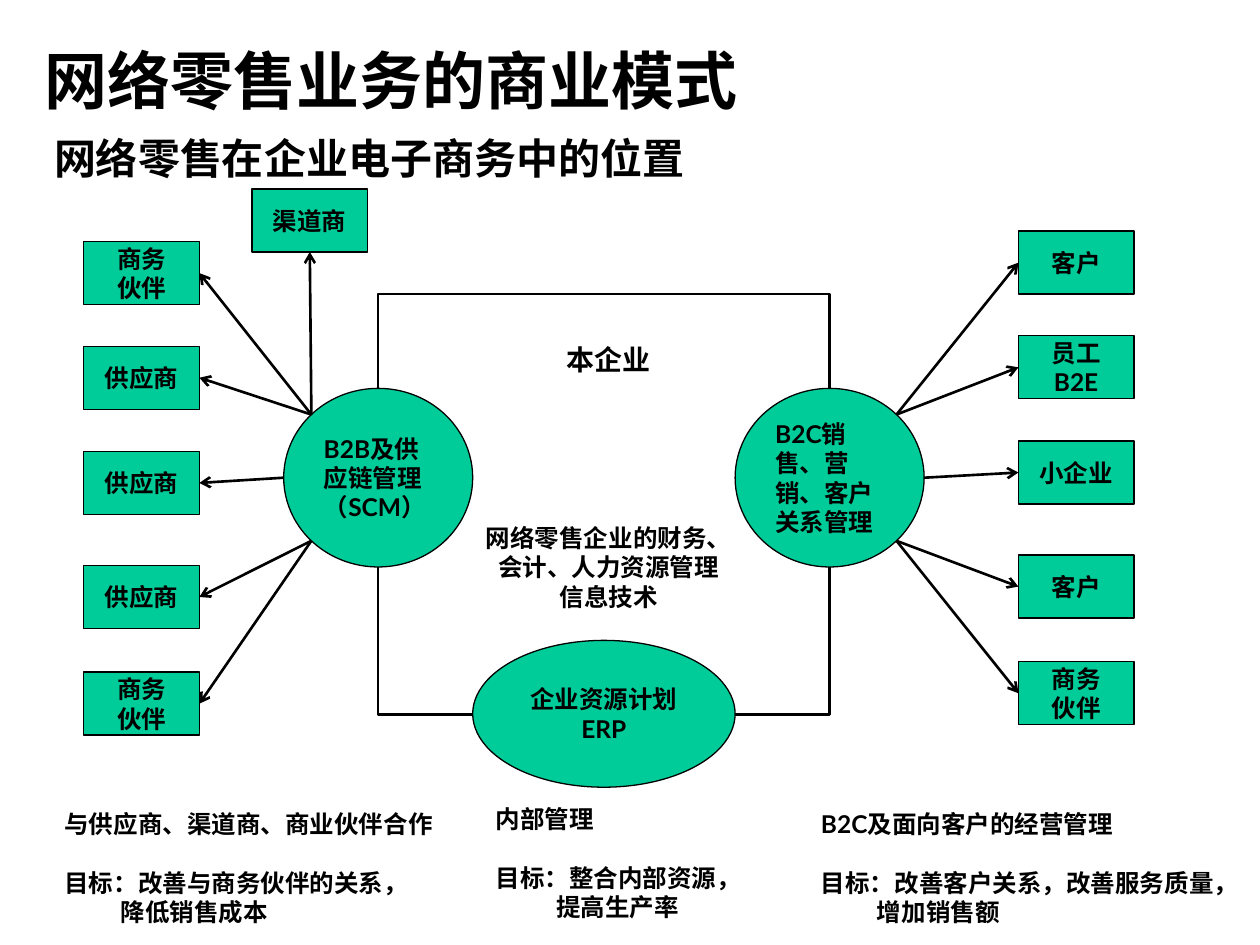
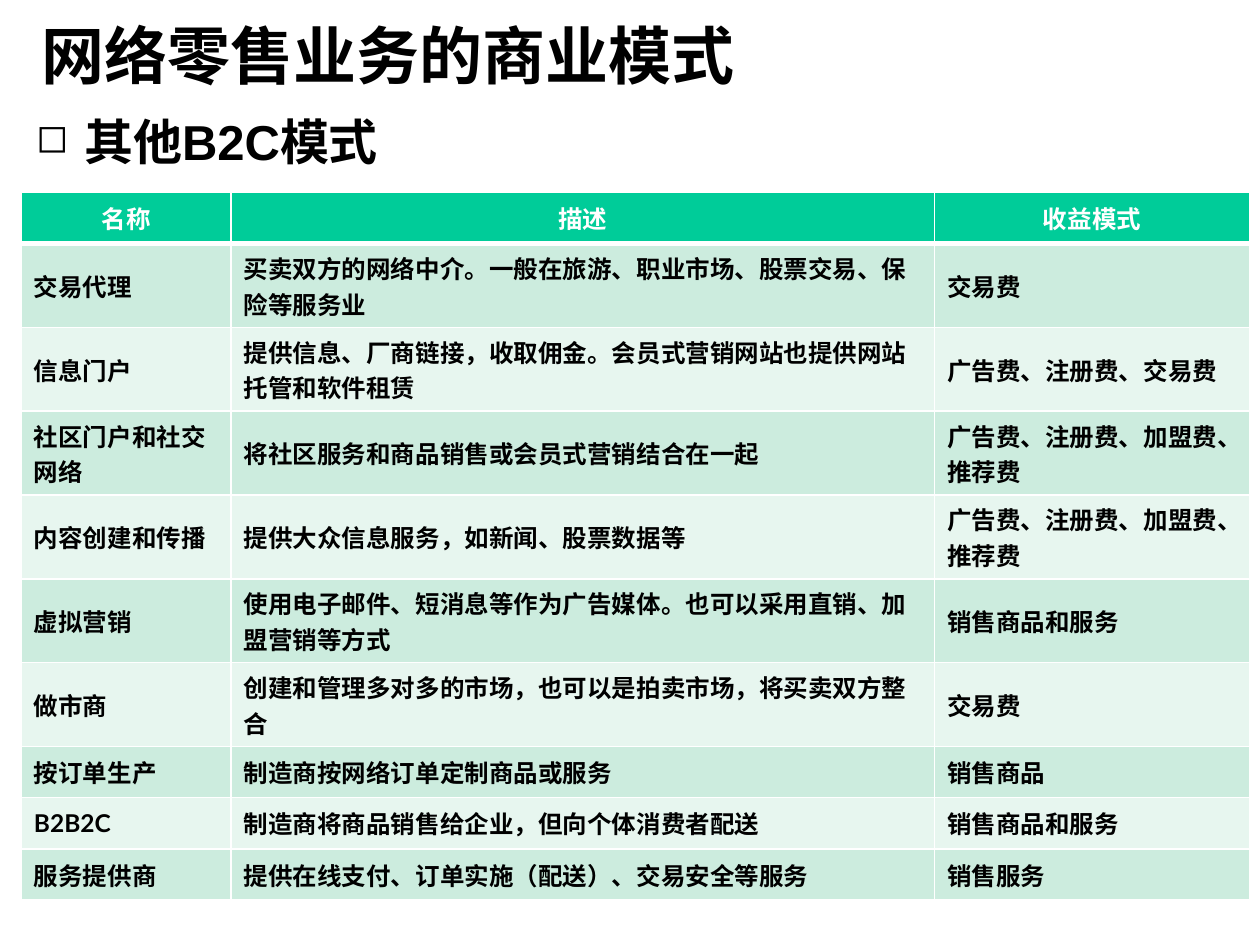
from math import sqrt
from lxml.etree import SubElement
from pptx import Presentation
from pptx.dml.color import RGBColor
from pptx.enum.shapes import MSO_CONNECTOR, MSO_SHAPE
from pptx.enum.text import MSO_ANCHOR, PP_ALIGN
from pptx.oxml.ns import qn
from pptx.util import Cm, Pt

GREEN, BLACK, WHITE = "00CC99", "000000", "FFFFFF"
BANDS = ("CCECDE", "E7F6EF")
TITLE = "网络零售业务的商业模式"
BODY_FONT, TITLE_FONT = "Lato", "Arial"

BOX_WIDTH, BOX_HEIGHT = 2.33, 1.27
BOX_TOPS = (4.66, 6.77, 8.89, 11.19, 13.34)
LEFT_DROP = 0.21
LEFT_X, RIGHT_X = 1.69, 20.53
CHANNEL = (5.08, 3.81)
SUPPLY_OVAL = (5.72, 7.83, 3.81, 3.6)
SALES_OVAL = (14.82, 7.83, 3.81, 3.6)
PARTNERS = ("商务\n伙伴", "供应商", "供应商", "供应商", "商务\n伙伴")
CUSTOMERS = ("客户", "员工\nB2E", "小企业", "客户", "商务\n伙伴")

CAPTIONS = (
    (1.05, 16.18, 8.0, 1.13,
     ("与供应商、渠道商、商业伙伴合作", "目标：改善与商务伙伴的关系，", "降低销售成本")),
    (9.74, 16.08, 5.5, 1.22,
     ("内部管理", "目标：整合内部资源，", "提高生产率")),
    (16.3, 16.18, 9.1, 1.13,
     ("B2C及面向客户的经营管理", "目标：改善客户关系，改善服务质量，", "增加销售额")),
)

COLUMN_WIDTHS = (4.23, 14.18, 6.35)
ROW_HEIGHTS = (1.03,) + (1.69,) * 6 + (1.03,) * 3
MODELS = (
    ("名称", "描述", "收益模式"),
    ("交易代理", "买卖双方的网络中介。一般在旅游、职业市场、股票交易、保险等服务业", "交易费"),
    ("信息门户", "提供信息、厂商链接，收取佣金。会员式营销网站也提供网站托管和软件租赁",
     "广告费、注册费、交易费"),
    ("社区门户和社交网络", "将社区服务和商品销售或会员式营销结合在一起", "广告费、注册费、加盟费、推荐费"),
    ("内容创建和传播", "提供大众信息服务，如新闻、股票数据等", "广告费、注册费、加盟费、推荐费"),
    ("虚拟营销", "使用电子邮件、短消息等作为广告媒体。也可以采用直销、加盟营销等方式", "销售商品和服务"),
    ("做市商", "创建和管理多对多的市场，也可以是拍卖市场，将买卖双方整合", "交易费"),
    ("按订单生产", "制造商按网络订单定制商品或服务", "销售商品"),
    ("B2B2C", "制造商将商品销售给企业，但向个体消费者配送", "销售商品和服务"),
    ("服务提供商", "提供在线支付、订单实施（配送）、交易安全等服务", "销售服务"),
)


def color(value):
    return RGBColor.from_string(value)


def place(left, top, width, height):
    return Cm(left), Cm(top), Cm(width), Cm(height)


def add_run(paragraph, text, size=14, font=BODY_FONT, fill=BLACK, east_asian=None):
    run = paragraph.add_run()
    run.text = text
    run.font.size = Pt(size)
    run.font.name = font
    run.font.bold = True
    run.font.color.rgb = color(fill)
    if east_asian:
        latin = run.font._element.find(qn("a:latin"))
        element = latin.makeelement(qn("a:ea"), {"typeface": east_asian})
        latin.addnext(element)


def add_lines(frame, lines, align=PP_ALIGN.LEFT, size=14):
    for index, line in enumerate(lines):
        paragraph = frame.add_paragraph() if index else frame.paragraphs[0]
        paragraph.alignment = align
        paragraph._p.get_or_add_pPr().set("hangingPunct", "0")
        add_run(paragraph, line, size, east_asian=BODY_FONT)
    return frame.paragraphs


def add_text_frame(slide, *box, wrap=False):
    frame = slide.shapes.add_textbox(*place(*box)).text_frame
    frame.word_wrap = wrap
    return frame


def add_title(slide, *box):
    frame = add_text_frame(slide, *box, wrap=True)
    frame.vertical_anchor = MSO_ANCHOR.MIDDLE
    add_run(frame.paragraphs[0], TITLE, 36, TITLE_FONT)


def add_node(slide, kind, box, text="", align=PP_ALIGN.CENTER, fill=GREEN, weight=0.75):
    shape = slide.shapes.add_shape(kind, *place(*box))
    shape.shadow.inherit = False
    if fill:
        shape.fill.solid()
        shape.fill.fore_color.rgb = color(fill)
    else:
        shape.fill.background()
    shape.line.color.rgb = color(BLACK)
    shape.line.width = Pt(weight)
    if text:
        shape.text_frame.word_wrap = True
        shape.text_frame.vertical_anchor = MSO_ANCHOR.MIDDLE
        add_lines(shape.text_frame, text.split("\n"), align)


def add_arrow(slide, start, end):
    connector = slide.shapes.add_connector(
        MSO_CONNECTOR.STRAIGHT, *(Cm(value) for value in (*start, *end)))
    connector.line.color.rgb = color(BLACK)
    connector.line.width = Pt(1.5)
    SubElement(connector.line._get_or_add_ln(), qn("a:tailEnd"), type="arrow")
    SubElement(connector._element.spPr, qn("a:effectLst"))


def oval_point(oval, across, down):
    left, top, width, height = oval
    scale = 1 / sqrt(2) if down else 1
    return (left + width / 2 * (1 + across * scale),
            top + height / 2 * (1 + down * scale))


def add_branch(slide, oval, side, box_left, drop, labels):
    for label, top, down in zip(labels, BOX_TOPS, (-1, -1, 0, 1, 1)):
        box_top = top + drop
        add_node(slide, MSO_SHAPE.RECTANGLE,
                 (box_left, box_top, BOX_WIDTH, BOX_HEIGHT), label)
        box_edge = box_left if side > 0 else box_left + BOX_WIDTH
        add_arrow(slide, oval_point(oval, side, down), (box_edge, box_top + BOX_HEIGHT / 2))


def add_caption(slide, left, top, width, indent, lines):
    paragraphs = add_lines(add_text_frame(slide, left, top, width, 2.64), lines)
    paragraphs[1].space_before = Pt(16.8)
    paragraphs[2]._p.get_or_add_pPr().set("marL", str(Cm(indent)))


def build_position_slide(slide):
    add_node(slide, MSO_SHAPE.RECTANGLE, (7.62, 5.93, 9.1, 8.47), fill=None, weight=1.5)
    add_title(slide, 0.64, 0.41, 20.4, 2.36)
    add_lines(add_text_frame(slide, 0.84, 2.54, 13.33, 1.27), ["网络零售在企业电子商务中的位置"], size=24)

    add_node(slide, MSO_SHAPE.OVAL, (9.53, 12.91, 5.29, 2.96), "企业资源计划ERP")
    add_node(slide, MSO_SHAPE.OVAL, SUPPLY_OVAL, "B2B及供应链管理（SCM）", PP_ALIGN.LEFT)
    add_node(slide, MSO_SHAPE.OVAL, SALES_OVAL, "B2C销售、营销、客户关系管理", PP_ALIGN.LEFT)

    company = add_lines(
        add_text_frame(slide, 9.52, 6.78, 5.5, 5.74),
        ("本企业", "网络零售企业的财务、", "会计、人力资源管理", "信息技术"), PP_ALIGN.CENTER)
    company[0].runs[0].font.size = Pt(16)
    company[1].space_before = Pt(84)

    add_branch(slide, SALES_OVAL, 1, RIGHT_X, 0, CUSTOMERS)
    add_branch(slide, SUPPLY_OVAL, -1, LEFT_X, LEFT_DROP, PARTNERS)
    left, top = CHANNEL
    add_node(slide, MSO_SHAPE.RECTANGLE, (left, top, BOX_WIDTH, BOX_HEIGHT), "渠道商")
    add_arrow(slide, oval_point(SUPPLY_OVAL, -1, -1), (left + BOX_WIDTH / 2, top + BOX_HEIGHT))

    for caption in CAPTIONS:
        add_caption(slide, *caption)


def add_bullet_heading(slide, text, *box):
    paragraph = add_text_frame(slide, *box, wrap=True).paragraphs[0]
    paragraph.space_before = Pt(3)
    properties = paragraph._p.get_or_add_pPr()
    properties.set("marL", str(Cm(0.97)))
    properties.set("indent", str(Cm(-0.97)))
    SubElement(properties, qn("a:buSzPct"), val="80000")
    SubElement(properties, qn("a:buChar"), char="◻")
    add_run(paragraph, text, 28, TITLE_FONT, east_asian=TITLE_FONT)


def add_bottom_border(cell, weight):
    border = cell._tc.get_or_add_tcPr().makeelement(qn("a:lnB"), {"w": str(Pt(weight))})
    fill = SubElement(border, qn("a:solidFill"))
    SubElement(fill, qn("a:srgbClr"), val=WHITE)
    cell._tc.tcPr.insert(0, border)


def add_model_table(slide, left, top):
    table = slide.shapes.add_table(
        len(MODELS), len(COLUMN_WIDTHS),
        *place(left, top, sum(COLUMN_WIDTHS), sum(ROW_HEIGHTS))).table
    for column, width in zip(table.columns, COLUMN_WIDTHS):
        column.width = Cm(width)
    for row_index, (row, height, texts) in enumerate(zip(table.rows, ROW_HEIGHTS, MODELS)):
        row.height = Cm(height)
        header = row_index == 0
        for cell, text in zip(row.cells, texts):
            cell.fill.solid()
            cell.fill.fore_color.rgb = color(GREEN if header else BANDS[(row_index - 1) % 2])
            cell.vertical_anchor = MSO_ANCHOR.MIDDLE
            if header:
                add_bottom_border(cell, 3)
            paragraph = cell.text_frame.paragraphs[0]
            paragraph.alignment = PP_ALIGN.CENTER if header else PP_ALIGN.LEFT
            add_run(paragraph, text, fill=WHITE if header else BLACK)


def build_models_slide(slide):
    add_title(slide, 0.58, 0.23, 23.77, 1.73)
    add_bullet_heading(slide, "其他B2C模式", 0.48, 2.13, 24.41, 1.7)
    add_model_table(slide, 0.43, 3.88)


def main():
    presentation = Presentation()
    presentation.slide_width = Cm(25.4)
    presentation.slide_height = Cm(19.05)
    for build in (build_position_slide, build_models_slide):
        build(presentation.slides.add_slide(presentation.slide_layouts[6]))
    presentation.save("out.pptx")


main()
